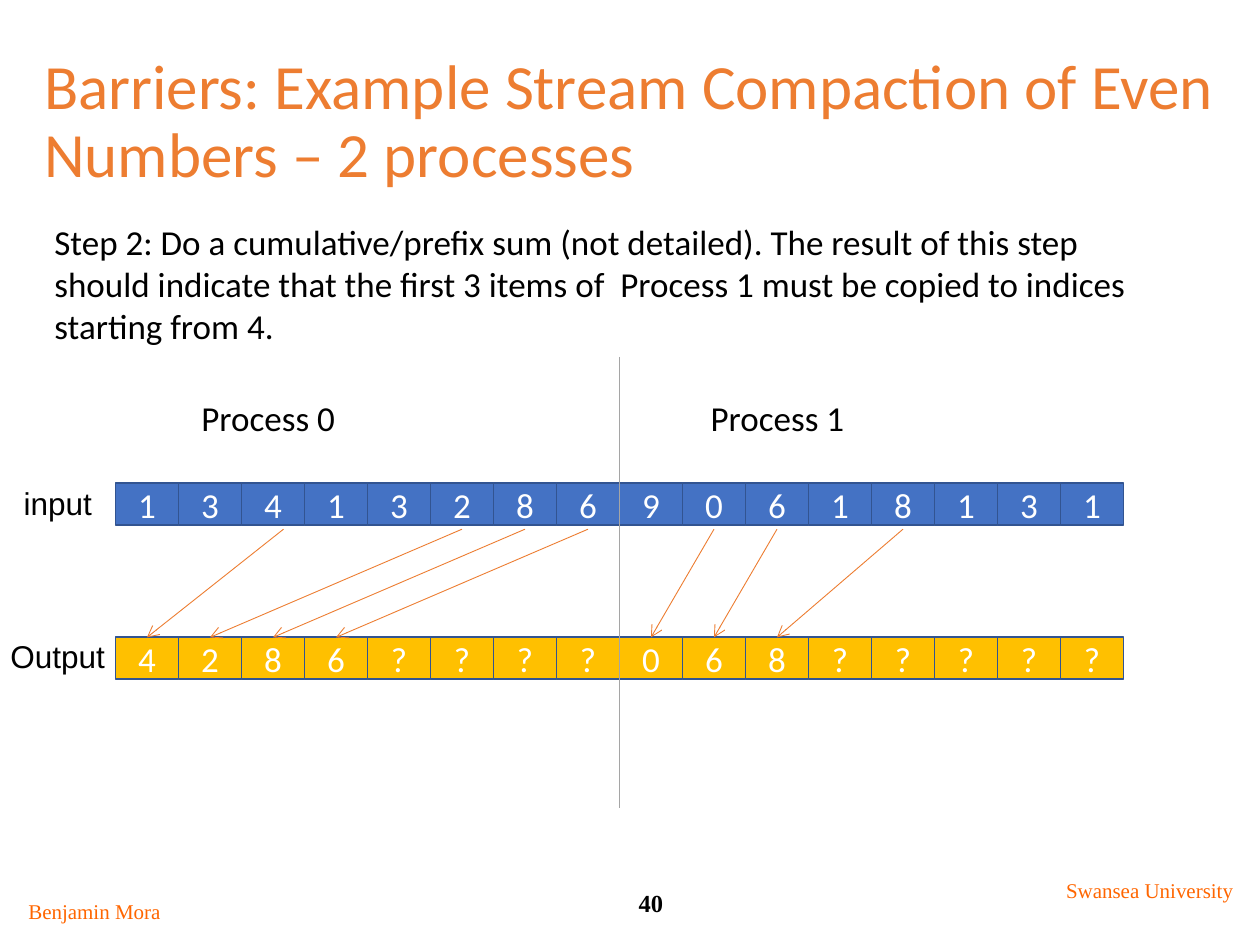
import lxml.etree
import pptx
import pptx.dml.color
import pptx.enum.shapes
import pptx.enum.text
import pptx.oxml.ns
import pptx.util

ALIGN = pptx.enum.text.PP_ALIGN
ANCHOR = pptx.enum.text.MSO_ANCHOR
STRAIGHT = pptx.enum.shapes.MSO_CONNECTOR.STRAIGHT
RECTANGLE = pptx.enum.shapes.MSO_SHAPE.RECTANGLE

THEME = {
    "input": "4472C4", "output": "FFC000", "edge": "325491",
    "arrow": "ED7D31", "divider": "A5A5A5",
    "title": ("Calibri", 36, "ED7D31", False),
    "body": ("Calibri", 20, "000000", False),
    "cell": ("Calibri", 20, "FFFFFF", False),
    "label": ("Arial", 18, "000000", False),
    "footer": ("Times New Roman", 12, "FF6600", False),
    "number": ("Times New Roman", 14, "000000", True),
}

deck = pptx.Presentation()
deck.slide_width = pptx.util.Inches(10)
deck.slide_height = pptx.util.Inches(7.5)
page = deck.slides.add_slide(deck.slide_layouts[5])

# The page is a grid of 120 columns by 90 rows.
COLUMN = deck.slide_width / 120
ROW = deck.slide_height / 90


def write(box, text, style, align, anchor=ANCHOR.TOP):
    """Fill the box with one paragraph in a style of the theme."""
    frame = box.text_frame
    frame.word_wrap = True
    frame.auto_size = pptx.enum.text.MSO_AUTO_SIZE.NONE
    frame.vertical_anchor = anchor
    para = frame.paragraphs[0]
    para.alignment = align
    span = para.add_run()
    span.text = text
    name, size, color, bold = THEME[style]
    formats = {"name": name, "size": pptx.util.Pt(size), "bold": bold}
    for key, value in formats.items():
        setattr(span.font, key, value)
    span.font.color.rgb = pptx.dml.color.RGBColor.from_string(color)
    return para


def draw_line(start, end, color):
    """Draw a thin line between two (column, row) points."""
    line = page.shapes.add_connector(
        STRAIGHT, int(start[0] * COLUMN), int(start[1] * ROW),
        int(end[0] * COLUMN), int(end[1] * ROW))
    line.line.width = pptx.util.Pt(0.5)
    line.line.color.rgb = pptx.dml.color.RGBColor.from_string(THEME[color])
    lxml.etree.SubElement(line._element.spPr, pptx.oxml.ns.qn("a:effectLst"))
    return line


# Title
title = page.shapes.title
title_place = {"left": 3 * COLUMN, "top": 5.2 * ROW,
               "width": 114 * COLUMN, "height": 13 * ROW}
for side, length in title_place.items():
    setattr(title, side, int(length))
heading = write(
    title, "Barriers: Example Stream Compaction of Even Numbers – 2 processes",
    "title", ALIGN.LEFT, ANCHOR.MIDDLE)
heading.line_spacing = 0.9

# Texts: left, top, width, height in grid units
TEXTS = [
    ("40", "number", ALIGN.CENTER, (54, 84, 16, 4)),
    ("Benjamin Mora", "footer", ALIGN.CENTER, (1, 85, 16, 3.6)),
    ("Swansea University", "footer", ALIGN.CENTER, (100, 83, 19, 3.6)),
    ("input", "label", ALIGN.CENTER, (1, 45.5, 9, 4.8)),
    ("Output", "label", ALIGN.CENTER, (-1, 60.1, 13, 4.8)),
    ("Step 2: Do a cumulative/prefix sum (not detailed). The result of this "
     "step should indicate that the first 3 items of  Process 1 must be "
     "copied to indices starting from 4.",
     "body", ALIGN.LEFT, (4, 20.4, 106, 13.3)),
    ("Process 0", "body", ALIGN.LEFT, (18, 37.2, 33, 5.3)),
    ("Process 1", "body", ALIGN.LEFT, (66.5, 37.2, 33, 5.3)),
]
for text, style, align, (left, top, width, height) in TEXTS:
    box = page.shapes.add_textbox(int(left * COLUMN), int(top * ROW),
                                  int(width * COLUMN), int(height * ROW))
    write(box, text, style, align)

# Input and output arrays
FIRST, CELL_WIDTH, CELL_HEIGHT = 11, 6, 4
ARRAYS = {"input": (46, "1341328690618131"),
          "output": (60.7, "4286????068?????")}
cells = {}
for array, (top, values) in ARRAYS.items():
    for index, value in enumerate(values):
        cell = page.shapes.add_shape(
            RECTANGLE, int((FIRST + index * CELL_WIDTH) * COLUMN),
            int(top * ROW), int(CELL_WIDTH * COLUMN), int(CELL_HEIGHT * ROW))
        cell.shadow.inherit = False
        cell.fill.solid()
        cell.fill.fore_color.rgb = pptx.dml.color.RGBColor.from_string(THEME[array])
        cell.line.color.rgb = pptx.dml.color.RGBColor.from_string(THEME["edge"])
        cell.line.width = pptx.util.Pt(1)
        write(cell, value, "cell", ALIGN.CENTER, ANCHOR.MIDDLE)
        cells[array, index] = cell

# Arrows from just below each even input to its output cell
MOVES = [(2, 0), (5, 1), (6, 2), (7, 3), (9, 8), (10, 9), (12, 10)]
for source, target in MOVES:
    start, end = (FIRST + (index + 0.5) * CELL_WIDTH for index in (source, target))
    if source == 2:
        start += 1
    arrow = draw_line((start, 50.4), (end, 60.7), "arrow")
    arrow.end_connect(cells["output", target], 0)
    lxml.etree.SubElement(arrow.line._get_or_add_ln(),
                          pptx.oxml.ns.qn("a:tailEnd"), type="arrow")

# Border between the two processes
middle = FIRST + 8 * CELL_WIDTH
draw_line((middle, 34), (middle, 77), "divider")

deck.save("out.pptx")
